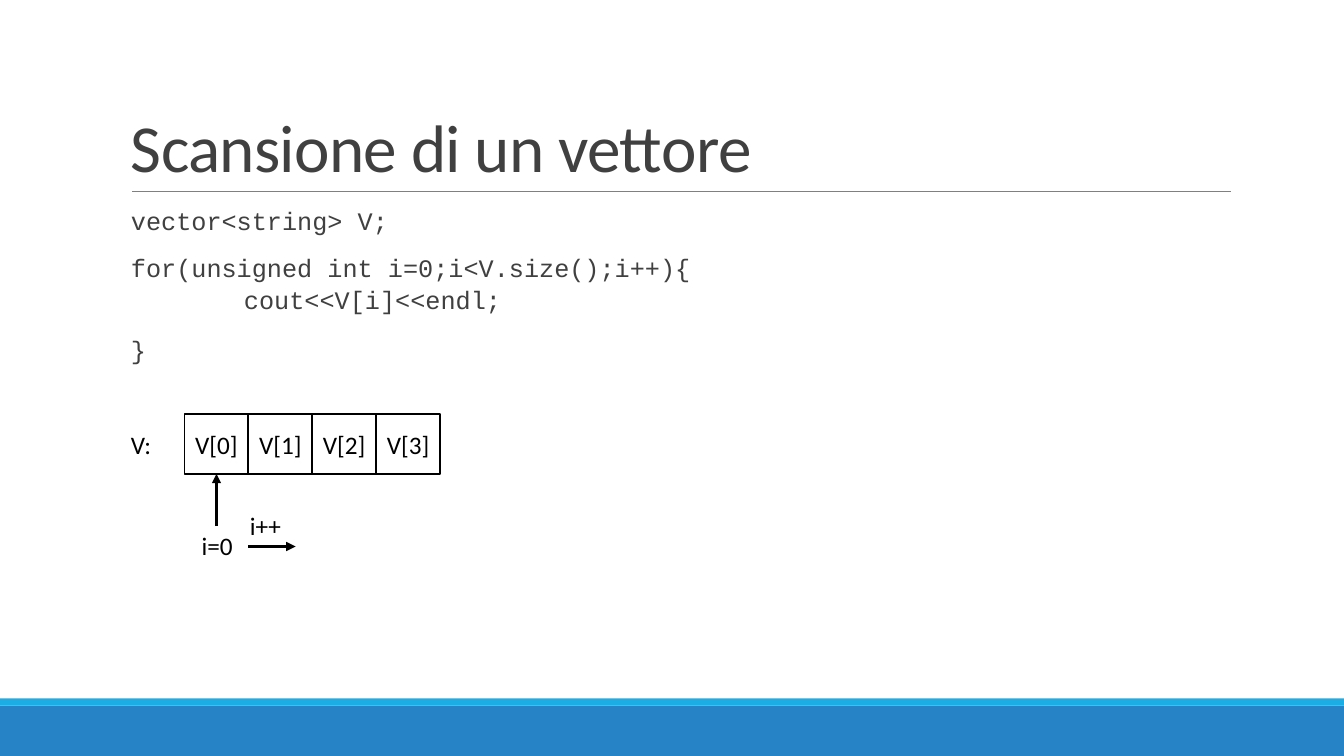
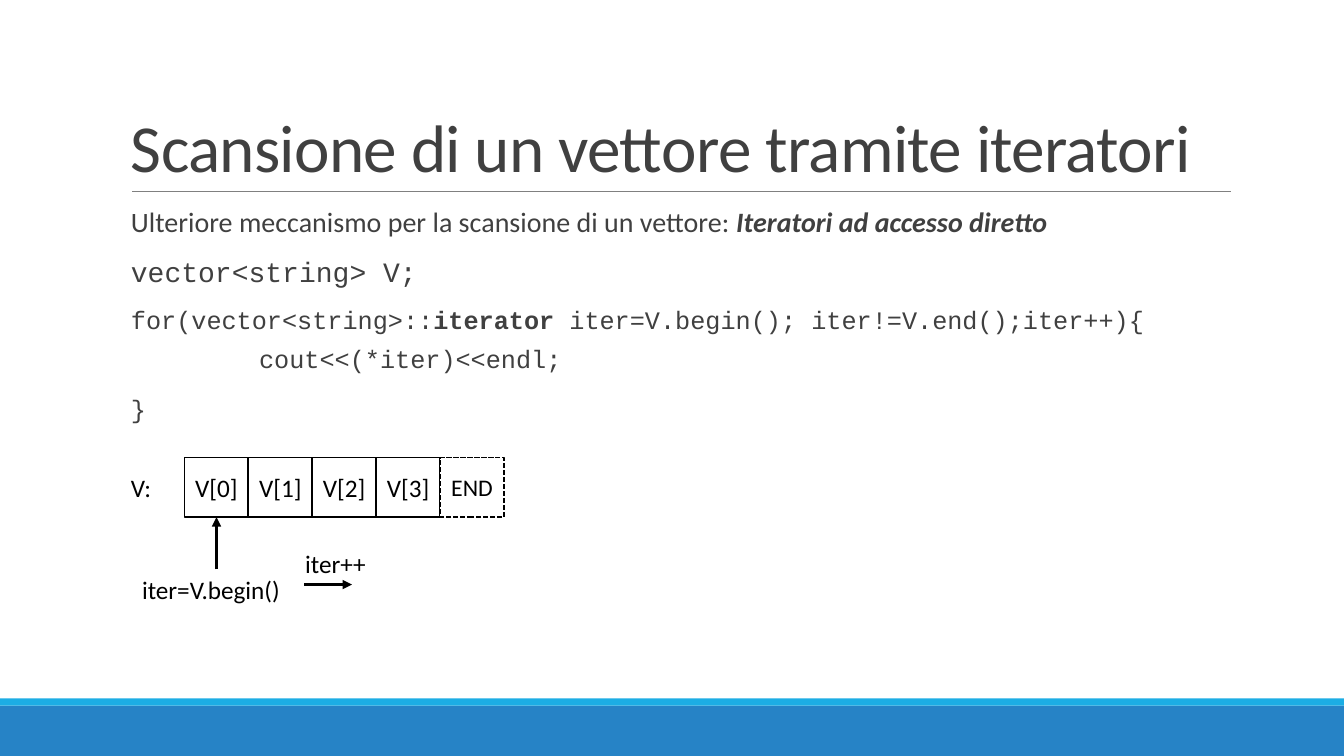
"""Build two slides on scanning a vector by index and by iterator."""
from pptx import Presentation
from pptx.dml.color import RGBColor
from pptx.enum.dml import MSO_LINE
from pptx.enum.shapes import MSO_CONNECTOR, MSO_SHAPE
from pptx.enum.text import MSO_ANCHOR as Anchor, PP_ALIGN as Align
from pptx.oxml.ns import qn
from pptx.util import Cm, Pt
from lxml.etree import SubElement

rgb = RGBColor.from_string
BLACK, WHITE, GREY, RULE = "000000", "FFFFFF", "404040", "808080"
BANDS = [(17.78, 1.27, "2683C6"), (17.6, 0.18, "1CADE4")]
SANS, MONO = "Calibri", "Courier New"
LEFT, WIDTH = 3.05, 27.94
CELL_LEFT, CELL_WIDTH, CELL_HEIGHT = 4.65, 1.61, 1.5
ARROW_LENGTH, LABEL_HEIGHT = 1.2, 1.02


def write(frame, text, size=18, font=SANS, color=BLACK, strong="", italic=False, align=Align.LEFT,
          line=1.0, before=0, after=0, indent=0, tracking=0):
    """Add a paragraph to the frame, setting the part named by strong in bold."""
    para = frame.paragraphs[0]
    if para.runs:
        para = frame.add_paragraph()
    para.alignment, para.line_spacing = align, line
    para.space_before, para.space_after = Pt(before), Pt(after)
    para._p.get_or_add_pPr().set("marL", str(Cm(indent)))
    head, middle, tail = text.partition(strong) if strong else (text, "", "")
    for words, bold in [(head, False), (middle, True), (tail, False)]:
        if words:
            span = para.add_run()
            span.text = words
            span.font.size, span.font.name = Pt(size), font
            span.font.bold, span.font.italic = bold, bold and italic
            span.font.color.rgb = rgb(color)
            if tracking:
                span._r.get_or_add_rPr().set("spc", str(tracking))


def draw_line(slide, start, end, color=BLACK, width=2.25, arrow=True):
    """Draw a straight line, with an arrowhead at its end if wanted."""
    line = slide.shapes.add_connector(MSO_CONNECTOR.STRAIGHT, *map(Cm, start + end))
    line.line.color.rgb, line.line.width = rgb(color), Pt(width)
    if arrow:
        SubElement(line.line._get_or_add_ln(), qn("a:tailEnd"), type="triangle")
    SubElement(line._element.spPr, qn("a:effectLst"))


body_style = dict(color=GREY, line=0.9, before=12, after=2, indent=0.25)
code = dict(body_style, font=MONO)
nested = dict(code, after=4)

pages = [
    dict(
        title="Scansione di un vettore",
        body=[
            ("vector<string> V;", code),
            ("for(unsigned int i=0;i<V.size();i++){", code),
            ("cout<<V[i]<<endl;", dict(nested, before=2, indent=3.1)),
            ("}", code),
        ],
        top=10.44,
        cells=["V[0]", "V[1]", "V[2]", "V[3]"],
        labels=[("i=0", 4.83, 2.79, 1.42), ("i++", 6.05, 2.29, 1.63)],
        step=(6.25, 3.33),
    ),
    dict(
        title="Scansione di un vettore tramite iteratori",
        body=[
            ("Ulteriore meccanismo per la scansione di un vettore: Iteratori ad accesso diretto",
             dict(body_style, size=20, strong="Iteratori ad accesso diretto", italic=True)),
            ("vector<string> V;", dict(code, size=20)),
            ("for(vector<string>::iterator iter=V.begin(); iter!=V.end();iter++){",
             dict(code, strong="iterator")),
            ("cout<<(*iter)<<endl;", dict(nested, before=6, indent=3.48)),
            ("}", code),
        ],
        top=11.53,
        cells=["V[0]", "V[1]", "V[2]", "V[3]", "END"],
        labels=[("iter=V.begin()", 3.33, 2.82, 4.52), ("iter++", 7.44, 2.16, 2.49)],
        step=(7.67, 3.2),
    ),
]

deck = Presentation()
deck.slide_width, deck.slide_height = Cm(33.87), Cm(19.05)

for page in pages:
    slide = deck.slides.add_slide(deck.slide_layouts[6])
    for band_top, band_height, color in BANDS:
        band = slide.shapes.add_shape(
            MSO_SHAPE.RECTANGLE, 0, Cm(band_top), deck.slide_width, Cm(band_height))
        band.shadow.inherit = False
        band.fill.solid()
        band.fill.fore_color.rgb = rgb(color)
        band.line.fill.background()
    draw_line(slide, (3.33, 4.83), (31.01, 4.83), color=RULE, width=0.5, arrow=False)

    title = slide.shapes.add_textbox(Cm(LEFT), Cm(0.79), Cm(WIDTH), Cm(4.04)).text_frame
    title.word_wrap, title.vertical_anchor = True, Anchor.BOTTOM
    write(title, page["title"], size=48, color=GREY, line=0.85, tracking=-50)

    body = slide.shapes.add_textbox(Cm(LEFT), Cm(5.13), Cm(WIDTH), Cm(11.18)).text_frame
    body.word_wrap = True
    body.margin_left = body.margin_right = 0
    for text, style in page["body"]:
        write(body, text, **style)

    top = page["top"]
    for index, name in enumerate(page["cells"]):
        is_end = name == "END"
        cell = slide.shapes.add_shape(
            MSO_SHAPE.RECTANGLE, Cm(CELL_LEFT + index * CELL_WIDTH), Cm(top),
            Cm(CELL_WIDTH), Cm(CELL_HEIGHT))
        cell.shadow.inherit = False
        cell.fill.solid()
        cell.fill.fore_color.rgb = rgb(WHITE)
        cell.line.color.rgb, cell.line.width = rgb(BLACK), Pt(1.25)
        if is_end:
            cell.line.dash_style = MSO_LINE.SQUARE_DOT
        cell.text_frame.word_wrap = False
        cell.text_frame.vertical_anchor = Anchor.MIDDLE
        write(cell.text_frame, name, size=17 if is_end else 18, align=Align.CENTER)

    pointer_left, cell_bottom = CELL_LEFT + CELL_WIDTH / 2, top + CELL_HEIGHT
    draw_line(slide, (pointer_left, cell_bottom + 1.32), (pointer_left, cell_bottom))
    step_left, step_drop = page["step"]
    draw_line(slide, (step_left, top + step_drop), (step_left + ARROW_LENGTH, top + step_drop))

    for text, left, drop, width in [("V:", LEFT, 0.25, 1.78)] + page["labels"]:
        label = slide.shapes.add_textbox(Cm(left), Cm(top + drop), Cm(width), Cm(LABEL_HEIGHT))
        label.text_frame.word_wrap = True
        write(label.text_frame, text)

deck.save("out.pptx")
